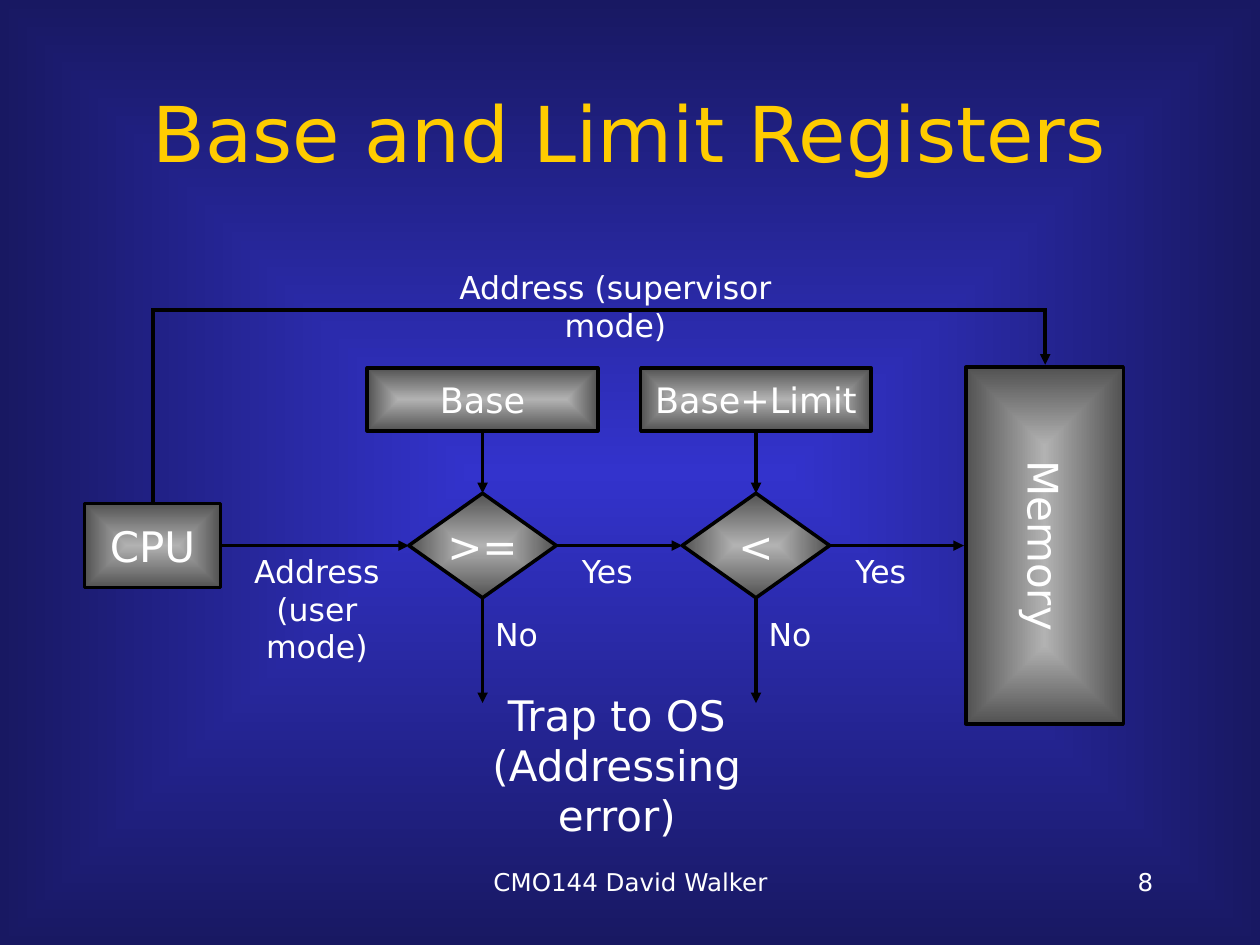
"""Build the Base and Limit Registers flow diagram slide."""
from lxml import etree
from pptx import Presentation
from pptx.dml.color import RGBColor
from pptx.enum import shapes, text
from pptx.oxml import ns
from pptx.util import Inches, Pt

FONT = "DejaVu Sans"
WHITE = RGBColor(0xFF, 0xFF, 0xFF)
BLACK = RGBColor(0x00, 0x00, 0x00)
GOLD = RGBColor(0xFF, 0xCC, 0x00)
BACKGROUND = RGBColor(0x33, 0x33, 0xCC), RGBColor(0x18, 0x18, 0x62)
METAL = RGBColor(0xB2, 0xB2, 0xB2), RGBColor(0x52, 0x52, 0x52)
CENTER, RIGHT = text.PP_ALIGN.CENTER, text.PP_ALIGN.RIGHT
TOP_SIDE, LEFT_SIDE, BOTTOM_SIDE, RIGHT_SIDE = range(4)
RECTANGLE = shapes.MSO_SHAPE.RECTANGLE
DECISION = shapes.MSO_SHAPE.FLOWCHART_DECISION

TITLE = ("Base and Limit Registers", 0.75, 0.42, 8.5, 1.25)
FLOW_Y = 4.33
CHECKS = [("Base", ">=", 3.83), ("Base+Limit", "<", 6.0)]
LABELS = [
    ("Address\n(user mode)", 1.71, FLOW_Y, 1.61, 0.7, 18),
    ("Trap to OS\n(Addressing error)", 3.37, 5.42, 3.05, 0.9, 24),
    ("Address (supervisor mode)", 3.21, 2.08, 3.35, 0.4, 18),
]
FOOTERS = [
    ("CMO144 David Walker", 3.42, 3.17, CENTER),
    ("8", 7.17, 2.08, RIGHT),
]


def apply_gradient(fill, element, colors):
    fill.gradient()
    for stop, color in zip(fill.gradient_stops, colors):
        stop.color.rgb = color
    gradient = element.find(".//" + ns.qn("a:gradFill"))
    gradient.remove(gradient.find(ns.qn("a:lin")))
    center = etree.SubElement(gradient, ns.qn("a:path"), {"path": "rect"})
    sides = dict.fromkeys("ltrb", "50000")
    etree.SubElement(center, ns.qn("a:fillToRect"), sides)


def write(shape, content, size, color=WHITE, align=CENTER, wrap=True,
          anchor=text.MSO_ANCHOR.TOP):
    frame = shape.text_frame
    frame.text = content
    frame.word_wrap = wrap
    frame.vertical_anchor = anchor
    for paragraph in frame.paragraphs:
        paragraph.alignment = align
        paragraph.font.name = FONT
        paragraph.font.size = Pt(size)
        paragraph.font.color.rgb = color


def add_label(slide, content, left, top, width, height, size, **style):
    box = slide.shapes.add_textbox(*map(Inches, (left, top, width, height)))
    write(box, content, size, **style)


def add_node(slide, kind, content, center_x, center_y, width, height, size=24):
    corner = center_x - width / 2, center_y - height / 2
    shape = slide.shapes.add_shape(kind, *map(Inches, (*corner, width, height)))
    shape.shadow.inherit = False
    apply_gradient(shape.fill, shape.element, METAL)
    shape.line.color.rgb = BLACK
    shape.line.width = Pt(2)
    write(shape, content, size, wrap=False, anchor=text.MSO_ANCHOR.MIDDLE)
    return shape


def add_arrow(slide, start, end, kind=shapes.MSO_CONNECTOR.STRAIGHT):
    arrow = slide.shapes.add_connector(kind, *map(Inches, (*start, *end)))
    arrow.line.color.rgb = BLACK
    arrow.line.width = Pt(2)
    properties = arrow.element.spPr
    line = properties.find(ns.qn("a:ln"))
    etree.SubElement(line, ns.qn("a:miter"), {"lim": "800000"})
    etree.SubElement(line, ns.qn("a:tailEnd"), {"type": "triangle"})
    etree.SubElement(properties, ns.qn("a:effectLst"))
    return arrow


def add_supervisor_arrow(slide):
    arrow = add_arrow(slide, (5.3, 6.98), (4.21, -0.1), shapes.MSO_CONNECTOR.ELBOW)
    properties = arrow.element.spPr
    properties.find(ns.qn("a:xfrm")).set("rot", "5400000")
    geometry = properties.find(ns.qn("a:prstGeom"))
    adjustments = geometry.find(ns.qn("a:avLst"))
    if adjustments is None:
        adjustments = etree.SubElement(geometry, ns.qn("a:avLst"))
    etree.SubElement(adjustments, ns.qn("a:gd"), {"name": "adj1", "fmla": "val 140000"})


def add_flow(slide):
    previous = add_node(slide, RECTANGLE, "CPU", 1.21, FLOW_Y, 1.08, 0.67)
    memory = add_node(slide, RECTANGLE, "Memory", 8.29, FLOW_Y, 2.83, 1.25)
    memory.rotation = 90
    for register, test, x in CHECKS:
        box = add_node(slide, RECTANGLE, register, x, 3.17, 1.83, 0.5, 20)
        decision = add_node(slide, DECISION, test, x, FLOW_Y, 1.17, 0.83)
        load = add_arrow(slide, (x, 3.42), (x, 3.92))
        load.begin_connect(box, BOTTOM_SIDE)
        load.end_connect(decision, TOP_SIDE)
        step = add_arrow(slide, (x - 1, FLOW_Y), (x - 0.58, FLOW_Y))
        step.begin_connect(previous, RIGHT_SIDE)
        step.end_connect(decision, LEFT_SIDE)
        trap = add_arrow(slide, (x, 4.75), (x, 5.58))
        trap.begin_connect(decision, BOTTOM_SIDE)
        add_label(slide, "Yes", x + 0.64, FLOW_Y, 0.7, 0.4, 18, wrap=False)
        add_label(slide, "No", x, 4.83, 0.54, 0.4, 18, wrap=False)
        previous = decision
    access = add_arrow(slide, (6.58, FLOW_Y), (7.65, FLOW_Y))
    access.begin_connect(previous, RIGHT_SIDE)
    add_supervisor_arrow(slide)


def main():
    presentation = Presentation()
    presentation.slide_width, presentation.slide_height = Inches(10), Inches(7.5)
    slide = presentation.slides.add_slide(presentation.slide_layouts[6])
    apply_gradient(slide.background.fill, slide.element, BACKGROUND)
    add_label(slide, *TITLE, 44, color=GOLD, anchor=text.MSO_ANCHOR.MIDDLE)
    add_flow(slide)
    for label in LABELS:
        add_label(slide, *label)
    for content, left, width, align in FOOTERS:
        add_label(slide, content, left, 6.83, width, 0.5, 14, align=align)
    presentation.save("out.pptx")


if __name__ == "__main__":
    main()
